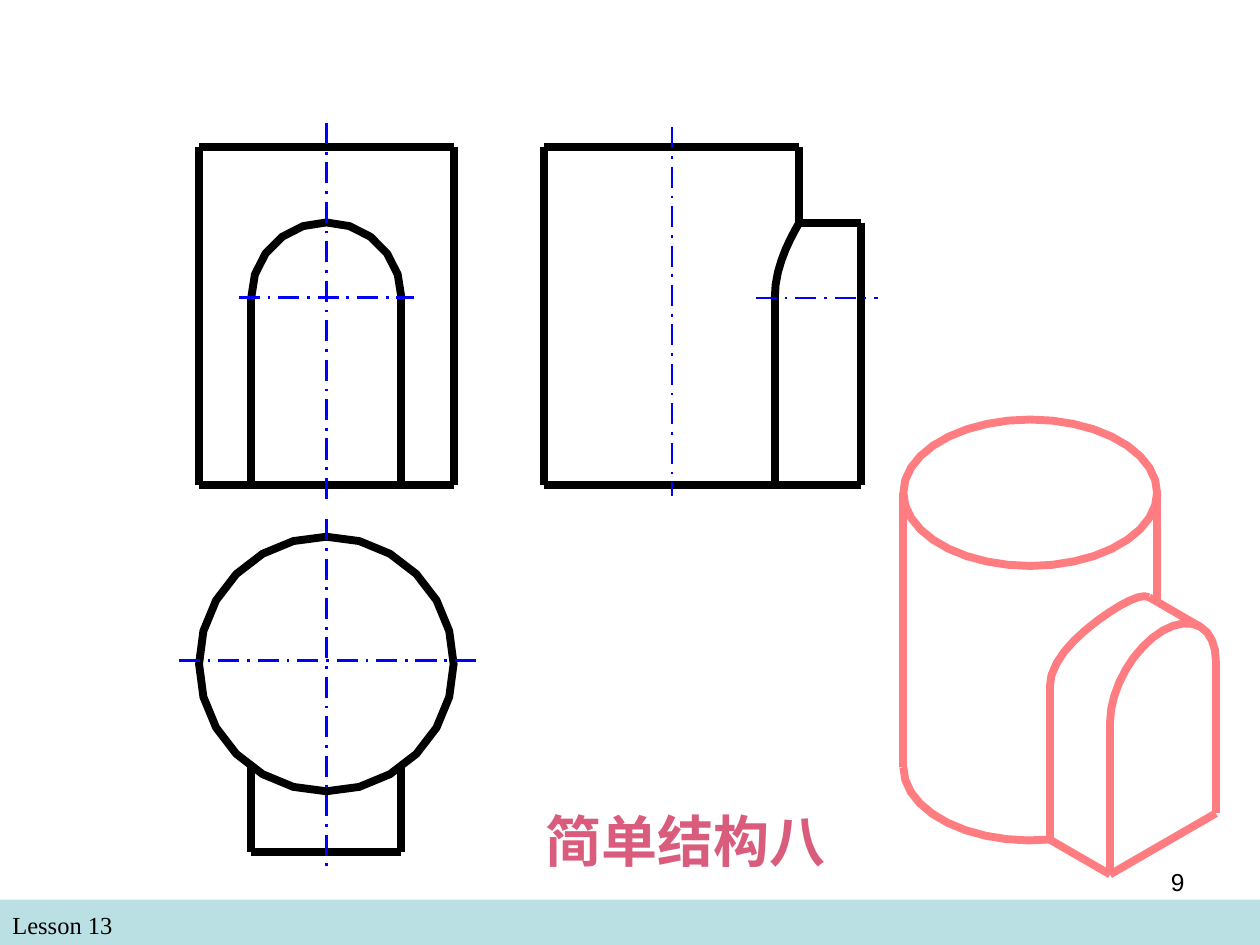
from dataclasses import dataclass
from math import acos, cos, degrees, radians, sin, sqrt

from pptx import Presentation
from pptx.dml.color import RGBColor
from pptx.enum.dml import MSO_LINE_DASH_STYLE as Dash
from pptx.enum.shapes import MSO_CONNECTOR, MSO_SHAPE
from pptx.enum.text import MSO_ANCHOR, MSO_AUTO_SIZE, PP_ALIGN
from pptx.oxml.ns import qn
from pptx.util import Inches, Pt
from lxml.etree import SubElement

COLUMNS, ROWS = 100, 75  # grid of 0.1 inch cells


@dataclass(frozen=True)
class Theme:
    ink: str = "000000"
    axis: str = "0000FF"
    solid: str = "FF7C80"
    title: str = "DA5C7D"
    band: str = "BBE0E3"
    serif: str = "Times New Roman"
    sans: str = "Arial"
    title_size: int = 32
    small_size: int = 14
    thick: float = 4.5
    thin: float = 1.5


@dataclass(frozen=True)
class Solid:
    """Cylinder with an arched boss; lengths in cylinder radii."""
    height: float = 2.65
    arch: float = 0.59
    reach: float = 1.48

    @property
    def spring(self):
        return self.height - 2 * self.arch

    def depth(self, across):
        return sqrt(1 - across ** 2)


@dataclass(frozen=True)
class Box:
    left: float
    top: float
    width: float
    height: float

    @property
    def right(self):
        return self.left + self.width

    @property
    def bottom(self):
        return self.top + self.height


THEME, SOLID = Theme(), Solid()


def cell(count):
    return Inches(count / 10)


def place(box):
    return [cell(value) for value in (box.left, box.top, box.width, box.height)]


def steps(start, stop, count):
    return [radians(start + (stop - start) * i / count) for i in range(count + 1)]


# Drawing tools
def draw_line(page, start, end, color=THEME.ink, width=THEME.thick, dash=None):
    line = page.shapes.add_connector(
        MSO_CONNECTOR.STRAIGHT, *[cell(value) for value in (*start, *end)])
    line.line.color.rgb = RGBColor.from_string(color)
    line.line.width = Pt(width)
    if dash:
        line.line.dash_style = dash
    SubElement(line._element.spPr, qn("a:effectLst"))


def draw_axis(page, start, end):
    draw_line(page, start, end, THEME.axis, THEME.thin, Dash.LONG_DASH_DOT)


def draw_curve(page, points, color=THEME.ink):
    first, *others = [(cell(x), cell(y)) for x, y in points]
    builder = page.shapes.build_freeform(*first)
    builder.add_line_segments(others, close=False)
    curve = builder.convert_to_shape()
    curve.fill.background()
    curve.line.color.rgb = RGBColor.from_string(color)
    curve.line.width = Pt(THEME.thick)
    curve.shadow.inherit = False


def write(shape, text, font, size, color, align, bold=False):
    frame = shape.text_frame
    frame.word_wrap = True
    frame.auto_size = MSO_AUTO_SIZE.NONE
    frame.vertical_anchor = MSO_ANCHOR.TOP
    para = frame.paragraphs[0]
    para.alignment = align
    para.space_before = Pt(0)
    span = para.add_run()
    span.text = text
    span.font.name, span.font.size, span.font.bold = font, Pt(size), bold
    span.font.color.rgb = RGBColor.from_string(color)


# Views
def front_view(page, box):
    unit = box.width / 2
    arch = SOLID.arch * unit
    middle, spring = box.left + unit, box.top + 2 * arch
    for y in (box.top, box.bottom):
        draw_line(page, (box.left, y), (box.right, y))
    for x, top in ((box.left, box.top), (box.right, box.top),
                   (middle - arch, spring), (middle + arch, spring)):
        draw_line(page, (x, top), (x, box.bottom))
    draw_curve(page, [(middle + arch * cos(t), spring - arch * sin(t))
                      for t in steps(0, 180, 10)])
    draw_axis(page, (middle, box.bottom + 1.1), (middle, box.top - 2.5))
    draw_axis(page, (middle - arch - 1, spring), (middle + arch + 1, spring))


def top_view(page, box):
    unit = box.width / 2
    arch = SOLID.arch * unit
    middle, centre = box.left + unit, box.top + unit
    joint = centre + SOLID.depth(SOLID.arch) * unit
    draw_curve(page, [(middle + unit * cos(t), centre - unit * sin(t))
                      for t in steps(0, 360, 24)])
    draw_line(page, (middle + arch, box.bottom), (middle - arch, box.bottom))
    for x in (middle - arch, middle + arch):
        draw_line(page, (x, joint), (x, box.bottom))
    draw_axis(page, (middle, box.top - 1.4), (middle, box.bottom + 1.5))
    draw_axis(page, (box.left - 1.6, centre - 0.3), (box.right + 1.9, centre - 0.3))


def side_view(page, box):
    unit = box.width / (1 + SOLID.reach)
    arch = SOLID.arch * unit
    middle, wall = box.left + unit, box.left + 2 * unit
    crown, spring = box.top + arch, box.top + 2 * arch
    joint = middle + SOLID.depth(SOLID.arch) * unit
    for start, end in (
            ((box.left, box.top), (wall, box.top)),
            ((wall, box.top), (wall, crown)),
            ((wall, crown), (box.right, crown)),
            ((box.right, crown), (box.right, box.bottom)),
            ((box.left, box.bottom), (box.right, box.bottom)),
            ((box.left, box.top), (box.left, box.bottom)),
            ((joint, spring), (joint, box.bottom))):
        draw_line(page, start, end)
    draw_curve(page, [(middle + SOLID.depth(SOLID.arch * cos(t)) * unit,
                       spring - arch * sin(t)) for t in steps(0, 90, 9)])
    draw_axis(page, (middle, box.top - 1.6), (middle, box.bottom + 0.9))
    draw_axis(page, (joint - 1.5, spring), (box.right + 1.4, spring))


def isometric_view(page, box):
    arch, reach, spring = SOLID.arch, SOLID.reach, SOLID.spring
    unit = box.width / (1 + (reach + arch) / sqrt(2))
    middle, lift, flat = box.left + unit, sqrt(2 / 3), 1 / sqrt(3)
    base = box.top + (flat + SOLID.height * lift) * unit

    def project(across, depth, up):
        return (middle + unit * (across + depth) / sqrt(2),
                base + unit * ((depth - across) / sqrt(6) - up * lift))

    def ring(up, start, stop, count):
        return [(middle + unit * cos(t), base + unit * (flat * sin(t) - up * lift))
                for t in steps(start, stop, count)]

    def boss(t, front):
        across = arch * cos(t)
        depth = reach if front else SOLID.depth(across)
        return project(across, depth, spring + arch * sin(t))

    # Cylinder rims, arch outlines
    joint = SOLID.depth(arch)
    contact = degrees(acos((joint - arch) / sqrt(2)))
    for points in (ring(SOLID.height, 0, 360, 36), ring(0, 180, contact, 10),
                   [boss(t, True) for t in steps(0, 180, 16)],
                   [boss(t, False) for t in steps(45, 180, 12)]):
        draw_curve(page, points, THEME.solid)

    # Straight edges
    crest, meet = boss(radians(45), True), boss(radians(45), False)
    rim = base - SOLID.height * lift * unit
    right = middle + unit
    hidden = meet[1] + (right - meet[0]) * flat
    corner = project(-arch, reach, 0)
    for start, end in (
            (project(-arch, joint, 0), project(-arch, joint, spring)),
            (corner, project(-arch, reach, spring)),
            (project(arch, reach, spring), project(arch, reach, 0)),
            (project(-arch, joint, 0), corner),
            (corner, project(arch, reach, 0)),
            (crest, meet),
            ((right, hidden), (right, rim)),
            ((box.left, rim), (box.left, base))):
        draw_line(page, start, end, THEME.solid)


# Text regions
def title_block(page, box):
    title = page.shapes.title
    title.left, title.top, title.width, title.height = place(box)
    write(title, "简单结构八", THEME.serif, THEME.title_size, THEME.title,
          PP_ALIGN.CENTER, True)


def footer(page, box):
    band = page.shapes.add_shape(MSO_SHAPE.RECTANGLE, *place(box))
    band.shadow.inherit = False
    band.fill.solid()
    band.fill.fore_color.rgb = RGBColor.from_string(THEME.band)
    band.line.fill.background()
    for text, area, font, align in (
            ("Lesson 13", Box(box.left, box.top + 0.3, 48.3, 3.4), THEME.serif, PP_ALIGN.LEFT),
            ("9", Box(box.right - 28.3, box.top - 3.1, 23.3, 5.2), THEME.sans, PP_ALIGN.RIGHT)):
        label = page.shapes.add_textbox(*place(area))
        write(label, text, font, THEME.small_size, THEME.ink, align)


def main():
    deck = Presentation()
    deck.slide_width, deck.slide_height = cell(COLUMNS), cell(ROWS)
    page = deck.slides.add_slide(deck.slide_layouts[5])
    footer(page, Box(0, 71.4, COLUMNS, 3.6))
    isometric_view(page, Box(71.7, 33.3, 24.8, 36.3))
    front_view(page, Box(15.8, 11.7, 20.2, 26.8))
    top_view(page, Box(15.8, 42.6, 20.2, 25))
    side_view(page, Box(43.2, 11.7, 25.1, 26.8))
    title_block(page, Box(32.7, 63.5, 43.5, 6.4))
    deck.save("out.pptx")


if __name__ == "__main__":
    main()
